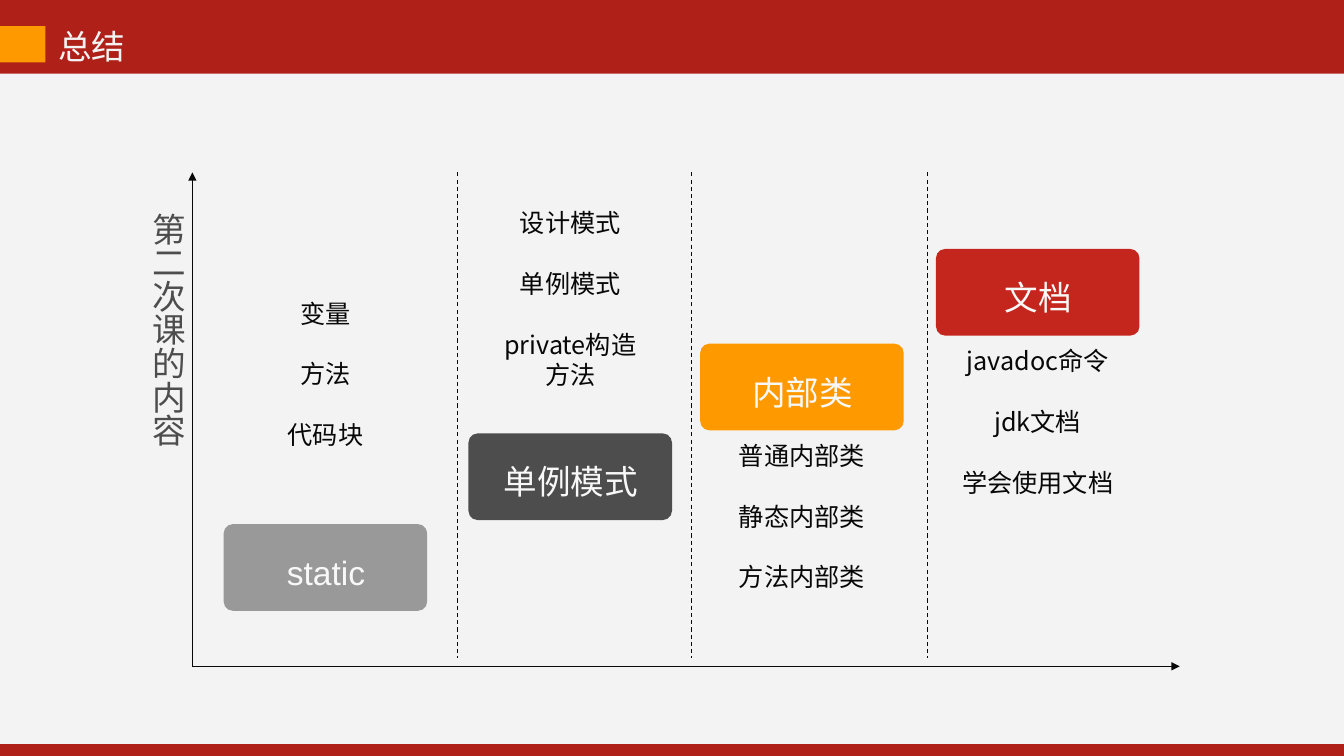
from lxml.etree import SubElement
from pptx import Presentation
from pptx.dml.color import RGBColor
from pptx.enum.dml import MSO_LINE
from pptx.enum.shapes import MSO_CONNECTOR, MSO_SHAPE
from pptx.enum.text import PP_ALIGN
from pptx.oxml.ns import qn
from pptx.util import Inches, Pt

RED = RGBColor(0xAF, 0x20, 0x19)
BRIGHT_RED = RGBColor(0xC4, 0x26, 0x1D)
ORANGE = RGBColor(0xFF, 0x99, 0x00)
PALE = RGBColor(0xF3, 0xF3, 0xF3)
WHITE = RGBColor(0xF8, 0xF8, 0xF8)
GREY = RGBColor(0x99, 0x99, 0x99)
DARK_GREY = RGBColor(0x4D, 0x4D, 0x4D)
BLACK = RGBColor(0x08, 0x08, 0x08)

CJK_FONT = "Noto Sans CJK SC"
CARD_WIDTH, CARD_HEIGHT = 2.02, 0.86
AXIS_LEFT, AXIS_TOP, AXIS_RIGHT, AXIS_BOTTOM = 1.91, 1.71, 11.71, 6.61
DIVIDER_BOTTOM = 6.53
DIVIDERS = (4.54, 6.86, 9.21)

TOPICS = (
    ("static", GREY, 2.22, 5.2, 2.9, ("变量", "方法", "代码块")),
    ("单例模式", DARK_GREY, 4.65, 4.3, 2, ("设计模式", "单例模式", "private构造方法")),
    ("内部类", ORANGE, 6.95, 3.41, 4.31, ("普通内部类", "静态内部类", "方法内部类")),
    ("文档", BRIGHT_RED, 9.29, 2.47, 3.37, ("javadoc命令", "jdk文档", "学会使用文档")),
)


def add_block(slide, preset, left, top, width, height, color):
    block = slide.shapes.add_shape(
        preset, Inches(left), Inches(top), Inches(width), Inches(height))
    block.shadow.inherit = False
    block.fill.solid()
    block.fill.fore_color.rgb = color
    block.line.fill.background()
    return block


def add_text(slide, lines, left, top, width, height, *, size=24, color=WHITE,
             font=CJK_FONT, align=PP_ALIGN.LEFT, line_height=30, gap=0,
             wrap=True, vertical=False):
    frame = slide.shapes.add_textbox(
        Inches(left), Inches(top), Inches(width), Inches(height)).text_frame
    frame.word_wrap = wrap
    if vertical:
        frame._txBody.bodyPr.set("vert", "eaVert")
    for index, line in enumerate(lines):
        paragraph = frame.add_paragraph() if index else frame.paragraphs[0]
        paragraph.alignment = align
        paragraph.line_spacing = Pt(line_height)
        paragraph.space_before = Pt(gap if index else 0)
        run = paragraph.add_run()
        run.text = line
        run.font.size = Pt(size)
        run.font.name = font
        run.font.color.rgb = color
        SubElement(run.font._element, qn("a:ea")).set("typeface", CJK_FONT)


def add_line(slide, start, end, *, arrow=False, dashed=False):
    line = slide.shapes.add_connector(
        MSO_CONNECTOR.STRAIGHT, *map(Inches, start + end))
    line.line.color.rgb = BLACK
    line.line.width = Pt(0.75)
    if dashed:
        line.line.dash_style = MSO_LINE.DASH
    if arrow:
        SubElement(line.line._get_or_add_ln(), qn("a:tailEnd")).set("type", "triangle")
    SubElement(line._element.spPr, qn("a:effectLst"))


def add_topic(slide, title, color, left, top, notes_top, notes):
    card = add_block(slide, MSO_SHAPE.ROUNDED_RECTANGLE, left, top,
                     CARD_WIDTH, CARD_HEIGHT, color)
    card.adjustments[0] = 0.106
    add_text(slide, [title], left + 0.22, top + 0.21, 1.59, 0.47,
             font="Arial", align=PP_ALIGN.CENTER)
    notes_height = 1.92 if title == "单例模式" else 1.62
    add_text(slide, notes, left + 0.15, notes_top, 1.72, notes_height, size=18,
             color=BLACK, align=PP_ALIGN.CENTER, line_height=22, gap=21.5)


def main():
    deck = Presentation()
    deck.slide_width, deck.slide_height = Inches(13.34), Inches(7.5)
    slide = deck.slides.add_slide(deck.slide_layouts[6])
    slide.background.fill.solid()
    slide.background.fill.fore_color.rgb = RED

    add_block(slide, MSO_SHAPE.RECTANGLE, 0, 0.73, 13.34, 6.65, PALE)
    add_text(slide, ["总结"], 0.48, 0.19, 0.88, 0.5, color=PALE, wrap=False)
    add_block(slide, MSO_SHAPE.RECTANGLE, 0, 0.26, 0.45, 0.36, ORANGE)

    origin = (AXIS_LEFT, AXIS_BOTTOM)
    add_line(slide, origin, (AXIS_LEFT, AXIS_TOP), arrow=True)
    add_line(slide, origin, (AXIS_RIGHT, AXIS_BOTTOM), arrow=True)
    for x in DIVIDERS:
        add_line(slide, (x, AXIS_TOP), (x, DIVIDER_BOTTOM), dashed=True)
    for topic in TOPICS:
        add_topic(slide, *topic)
    add_text(slide, ["第二次课的内容"], 1.32, 2.01, 0.61, 2.71,
             color=DARK_GREY, vertical=True)
    deck.save("out.pptx")


if __name__ == "__main__":
    main()
